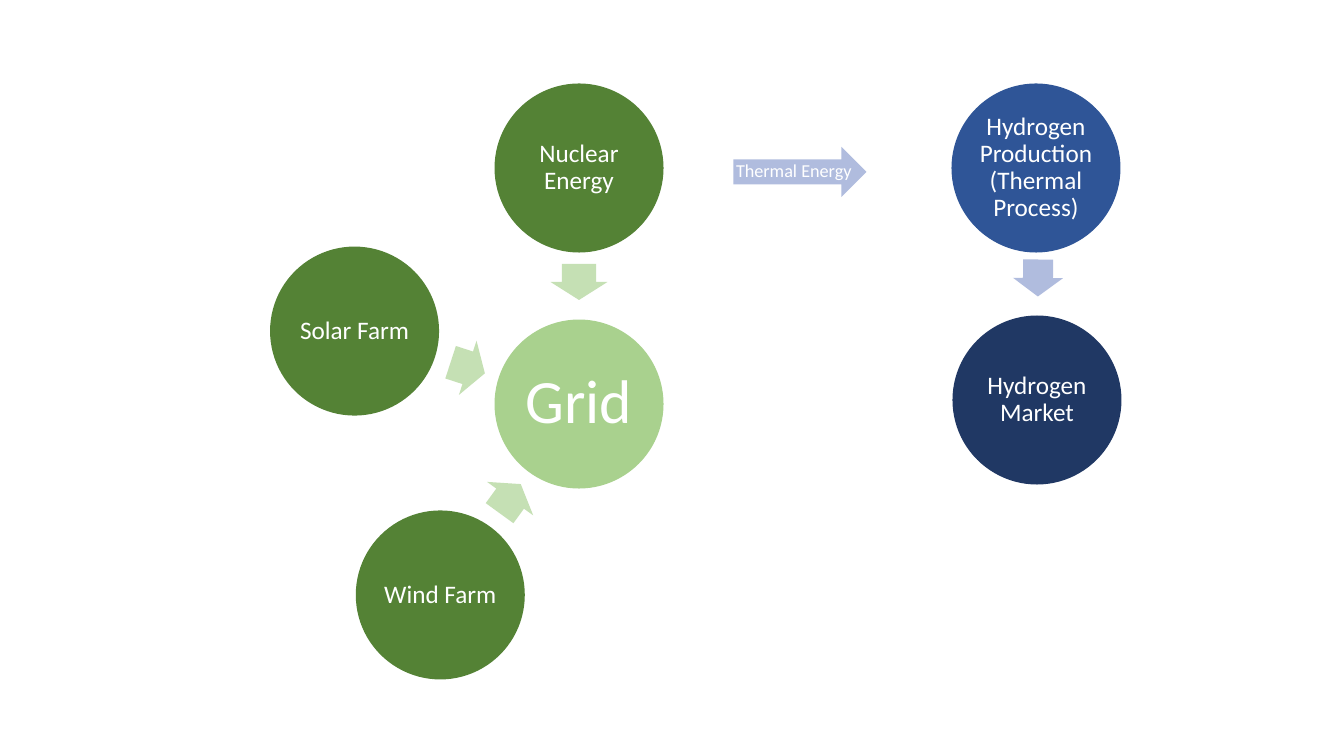
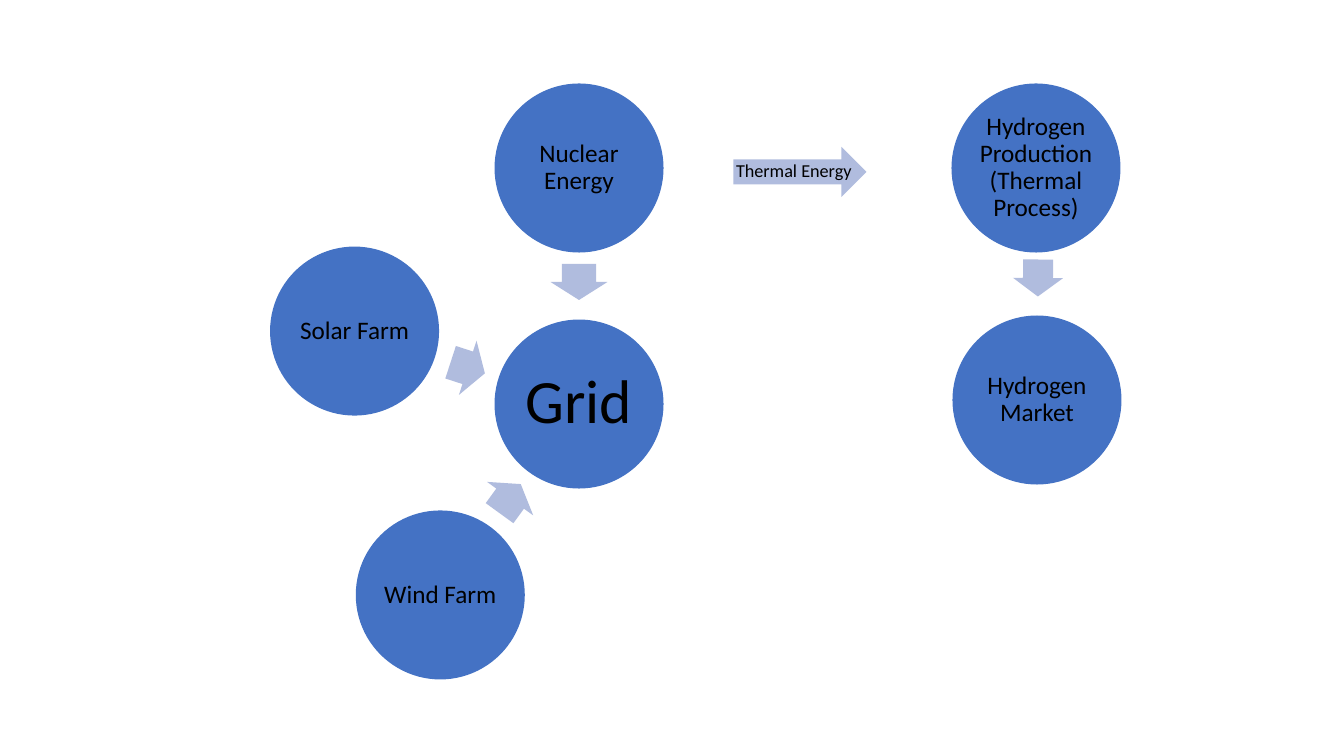
"""Build two slides of an energy flow diagram, one in colour groups and one plain."""
from math import cos, radians, sin

from pptx import Presentation
from pptx.dml.color import RGBColor
from pptx.enum.shapes import MSO_SHAPE
from pptx.enum.text import MSO_ANCHOR, PP_ALIGN
from pptx.util import Pt

OVAL, ARROW = MSO_SHAPE.OVAL, MSO_SHAPE.RIGHT_ARROW
MIDDLE, CENTER = MSO_ANCHOR.MIDDLE, PP_ALIGN.CENTER

PX = 914400 / 100.8
WIDE, HIGH = 1344, 756
FONT = "Calibri"

THEMES = [
    {"text": "FFFFFF", "hub": "A9D18E", "source": "548235", "feed": "C5E0B4",
     "plant": "2F5597", "market": "203864", "flow": "B0BCDE"},
    {"text": "000000", "hub": "4472C4", "source": "4472C4", "feed": "B0BCDE",
     "plant": "4472C4", "market": "4472C4", "flow": "B0BCDE"},
]
HUB = (579, 404)
DISC = 169
ORBIT = 236
FEED = (36, 57)
SOURCES = [
    ("Nuclear Energy", 90, 122),
    ("Wind Farm", 306, 117),
    ("Solar Farm", 18, 117),
]
CHAIN = [
    ("Hydrogen Production (Thermal Process)", "plant", (1036, 168)),
    ("Hydrogen Market", "market", (1037, 400)),
]
HEAT = ("Thermal Energy", (800, 172), (133, 50))
DROP = ((1038, 278), (37, 50), 90.5)


def color(code):
    """Turn a hex string into a colour."""
    return RGBColor.from_string(code)


def px(value):
    """Turn pixels into EMU."""
    return round(value * PX)


def draw(slide, kind, mid, size, fill, turn=0):
    """Add a plain filled shape centred on a point."""
    left, top = (m - s / 2 for m, s in zip(mid, size))
    shape = slide.shapes.add_shape(kind, px(left), px(top), *map(px, size))
    shape.shadow.inherit = False
    shape.fill.solid()
    shape.fill.fore_color.rgb = color(fill)
    shape.line.fill.background()
    shape.rotation = turn
    return shape


def label(shape, text, size, ink, inset):
    """Write centred text inside a shape."""
    frame = shape.text_frame
    frame.word_wrap = True
    frame.vertical_anchor = MIDDLE
    frame.margin_left = frame.margin_right = px(inset)
    frame.margin_top = frame.margin_bottom = px(inset)
    para = frame.paragraphs[0]
    para.alignment = CENTER
    para.line_spacing = 0.9
    run = para.add_run()
    run.text = text
    run.font.size = Pt(size)
    run.font.name = FONT
    run.font.color.rgb = color(ink)


def disc(slide, text, mid, fill, ink, size=18):
    """Add a labelled circle."""
    label(draw(slide, OVAL, mid, (DISC, DISC), fill), text, size, ink, 3)


def block(slide, mid, size, fill, turn):
    """Add a short block arrow."""
    arrow = draw(slide, ARROW, mid, size, fill, turn)
    arrow.adjustments[0] = 0.6
    arrow.adjustments[1] = 0.5


def orbit(turn, reach):
    """Find the point from which an arrow at this angle aims at the hub."""
    angle = radians(turn)
    return HUB[0] - reach * cos(angle), HUB[1] - reach * sin(angle)


def build(deck, theme):
    """Add one slide in the given colours."""
    slide = deck.slides.add_slide(deck.slide_layouts[6])
    ink = theme["text"]
    disc(slide, "Grid", HUB, theme["hub"], ink, 44)
    for text, turn, reach in SOURCES:
        block(slide, orbit(turn, reach), FEED, theme["feed"], turn)
        disc(slide, text, orbit(turn, ORBIT), theme["source"], ink)
    text, mid, size = HEAT
    label(draw(slide, ARROW, mid, size, theme["flow"]), text, 13, ink, 0)
    for text, role, mid in CHAIN:
        disc(slide, text, mid, theme[role], ink)
    mid, size, turn = DROP
    block(slide, mid, size, theme["flow"], turn)


deck = Presentation()
deck.slide_width, deck.slide_height = px(WIDE), px(HIGH)
for theme in THEMES:
    build(deck, theme)
deck.save("out.pptx")
